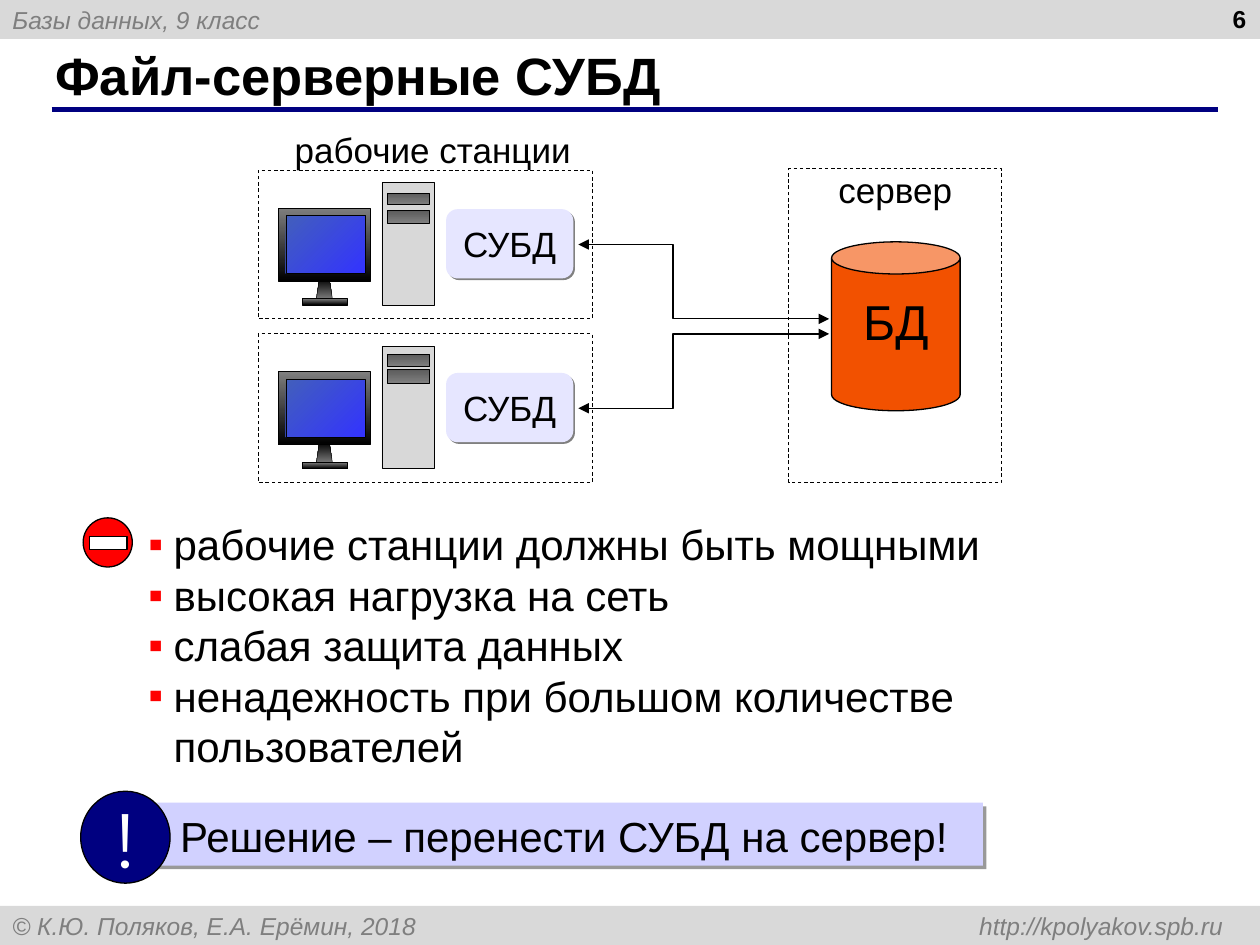
from lxml import etree
from pptx import Presentation
from pptx import util as u
from pptx.dml.color import RGBColor
from pptx.enum import dml, shapes, text
from pptx.oxml.ns import qn

I, Pt = u.Inches, u.Pt
KIND = shapes.MSO_SHAPE
ALIGN, ANCHOR = text.PP_ALIGN, text.MSO_ANCHOR
WIDE = (0.1, 0.05, 0.1, 0.05)
NONE = (0, 0, 0, 0)
DARK = ("7F7F7F", "000000", 90)
SLOT = ("5A5A5A", "7F7F7F", 90)
BLUE = ("425FBC", "3333FF", 45)


def color(hexa):
    return RGBColor.from_string(hexa)


def node(parent, tag, **attrs):
    return etree.SubElement(parent, qn(tag), attrs)


def paint(shape, fill):
    """Fill with nothing, one hex colour, or (start, end, angle)."""
    if fill is None:
        shape.fill.background()
    elif isinstance(fill, str):
        shape.fill.solid()
        shape.fill.fore_color.rgb = color(fill)
    else:
        shape.fill.gradient()
        shape.fill.gradient_angle = 360 - fill[2]
        for stop, hexa in zip(shape.fill.gradient_stops, fill):
            stop.color.rgb = color(hexa)


def stroke(line, width, dash=False, hexa="000000"):
    if not width:
        line.fill.background()
        return
    line.color.rgb = color(hexa)
    line.width = Pt(width)
    if dash:
        line.dash_style = dml.MSO_LINE.DASH


def block(slide, kind, box, fill=None, width=0, dash=False):
    shape = slide.shapes.add_shape(kind, *map(I, box))
    shape.shadow.inherit = False
    paint(shape, fill)
    stroke(shape.line, width, dash)
    return shape


def shade(shape, hexa, alpha, dist):
    effects = shape._element.spPr.find(qn("a:effectLst"))
    outer = node(effects, "a:outerShdw", dist=str(Pt(dist)), dir="2700000",
                 algn="ctr", rotWithShape="0")
    tint = node(outer, "a:srgbClr", val=hexa)
    node(tint, "a:alpha", val=str(alpha * 1000))


def write(shape, words, size, hexa="000000", font="Arial", bold=False,
          slant=False, align=ALIGN.LEFT, anchor=ANCHOR.TOP, pad=NONE, wrap=True):
    frame = shape.text_frame
    frame.text = words
    frame.word_wrap = wrap
    frame.vertical_anchor = anchor
    (frame.margin_left, frame.margin_top,
     frame.margin_right, frame.margin_bottom) = map(I, pad)
    for para in frame.paragraphs:
        para.alignment = align
        for run in para.runs:
            face = run.font
            face.name, face.size = font, Pt(size)
            face.bold, face.italic = bold, slant
            face.color.rgb = color(hexa)
    return frame


def label(slide, box, words, size, **style):
    return write(slide.shapes.add_textbox(*map(I, box)), words, size, **style)


def band(slide, box, words):
    """Grey strip; a tab sends the rest of the words to the right edge."""
    strip = block(slide, KIND.RECTANGLE, box, "D9D9D9")
    frame = write(strip, words, 14, "7F7F7F", slant=True,
                  anchor=ANCHOR.MIDDLE, pad=WIDE)
    tabs = node(frame.paragraphs[0]._p.get_or_add_pPr(), "a:tabLst")
    node(tabs, "a:tab", pos=str(I(9.61)), algn="r")


def header(slide, box):
    x, y, w, h = box
    rule = slide.shapes.add_connector(shapes.MSO_CONNECTOR.STRAIGHT,
                                      I(x + 0.07), I(y + 0.54),
                                      I(x + w + 0.17), I(y + 0.54))
    stroke(rule.line, 3, hexa="000080")
    node(rule._element.spPr, "a:effectLst")
    label(slide, box, "Файл-серверные СУБД", 30, bold=True,
          anchor=ANCHOR.MIDDLE, pad=WIDE)


def server(slide, box):
    x, y, w, h = box
    frame = block(slide, KIND.RECTANGLE, box, None, 0.5, True)
    write(frame, "сервер", 20, align=ALIGN.CENTER)
    base = block(slide, KIND.CAN, (x + 0.34, y + 0.58, 1.02, 1.34), "F25100", 0.75)
    base.adjustments[0] = 0.25
    write(base, "БД", 28, align=ALIGN.CENTER, pad=(0, 0.14, 0, 0))


def station(slide, box, slots):
    x, y, w, h = box
    block(slide, KIND.RECTANGLE, box, None, 0.5, True)

    # Program
    app = block(slide, KIND.ROUNDED_RECTANGLE, (x + 1.49, y + 0.31, 1.01, 0.55), "E6E6FF")
    app.adjustments[0] = 0.167
    shade(app, "808080", 100, 1.4)
    write(app, "СУБД", 20, align=ALIGN.CENTER, anchor=ANCHOR.MIDDLE)

    # Monitor: stand, case, screen, foot; then the tower and its slots
    stand = block(slide, KIND.FLOWCHART_MANUAL_OPERATION,
                  (x + 0.46, y + 0.86, 0.13, 0.17), DARK, 0.25)
    stand._element.spPr.xfrm.set("flipV", "1")
    parts = [(0.16, 0.3, 0.73, 0.58, DARK), (0.22, 0.36, 0.63, 0.46, BLUE),
             (0.35, 1.02, 0.36, 0.05, DARK), (0.98, 0.1, 0.42, 0.97, "D8D8D8")]
    parts += [(1.02, top, 0.34, high, SLOT) for top, high in slots]
    for left, top, wide, high, fill in parts:
        block(slide, KIND.RECTANGLE, (x + left, y + top, wide, high), fill, 0.25)


def link(slide, box, rise):
    """Stepped line with two arrowheads, going up or down to the right."""
    x, y, w, h = box
    start, end = (y + h, y) if rise else (y, y + h)
    path = slide.shapes.build_freeform(I(x), I(start))
    path.add_line_segments([(I(px), I(py)) for px, py in
                            ((x + 0.75, start), (x + 0.75, end), (x + w, end))],
                           close=False)
    line = path.convert_to_shape()
    line.shadow.inherit = False
    paint(line, None)
    stroke(line.line, 0.75)
    for tip in ("a:headEnd", "a:tailEnd"):
        node(line.line._get_or_add_ln(), tip, type="triangle")


def faults(slide, box, items):
    x, y, w, h = box
    # No-entry sign
    block(slide, KIND.OVAL, (x, y + 0.04, 0.39, 0.39), "FF0000", 0.75)
    block(slide, KIND.RECTANGLE, (x + 0.05, y + 0.19, 0.3, 0.1), "FFFFFF", 0.75)
    # List
    frame = label(slide, (x + 0.42, y, w - 0.42, h), "\n".join(items), 24, pad=WIDE)
    for para in frame.paragraphs:
        props = para._p.get_or_add_pPr()
        props.set("marL", str(I(0.2)))
        props.set("indent", str(-I(0.2)))
        node(node(props, "a:buClr"), "a:srgbClr", val="FF0000")
        node(props, "a:buFont", typeface="Arial")
        node(props, "a:buChar", char="▪")


def remedy(slide, box):
    x, y, w, h = box
    bar = block(slide, KIND.RECTANGLE, (x + 0.51, y + 0.09, w - 0.51, 0.5), "D1D1FF")
    shade(bar, "000000", 40, 3)
    write(bar, "Решение – перенести СУБД на сервер!", 24,
          anchor=ANCHOR.MIDDLE, pad=(0.28, 0.05, 0.1, 0.02))
    mark = block(slide, KIND.OVAL, (x, y, 0.71, h), "000080", 0.75)
    write(mark, "!", 44, "FFFFFF", "Montserrat", align=ALIGN.CENTER,
          anchor=ANCHOR.MIDDLE, pad=WIDE, wrap=False)


def main():
    deck = Presentation()
    deck.slide_width, deck.slide_height = I(10), I(7.5)
    slide = deck.slides.add_slide(deck.slide_layouts[6])

    # Page frame
    band(slide, (0, 0, 10, 0.31), "Базы данных, 9 класс")
    band(slide, (0, 7.19, 10, 0.31),
         "© К.Ю. Поляков, Е.А. Ерёмин, 2018\thttp://kpolyakov.spb.ru")
    header(slide, (0.34, 0.33, 9.16, 0.52))
    label(slide, (7.66, -0.02, 2.33, 0.52), "6", 14, bold=True,
          align=ALIGN.RIGHT, pad=WIDE)

    # Network diagram
    server(slide, (6.26, 1.34, 1.69, 2.49))
    label(slide, (2.15, 1.02, 2.57, 0.29), "рабочие станции", 20, align=ALIGN.CENTER)
    station(slide, (2.05, 1.35, 2.65, 1.18), ((0.18, 0.09), (0.32, 0.1)))
    station(slide, (2.05, 2.65, 2.65, 1.18), ((0.16, 0.1), (0.28, 0.11)))
    link(slide, (4.59, 1.94, 1.99, 0.59), False)
    link(slide, (4.59, 2.65, 1.99, 0.59), True)

    # Drawbacks and solution
    faults(slide, (0.66, 4.07, 7.78, 2.44),
           ("рабочие станции должны быть мощными", "высокая нагрузка на сеть",
            "слабая защита данных",
            "ненадежность при большом количестве пользователей"))
    remedy(slide, (0.64, 6.28, 7.16, 0.73))
    deck.save("out.pptx")


if __name__ == "__main__":
    main()
